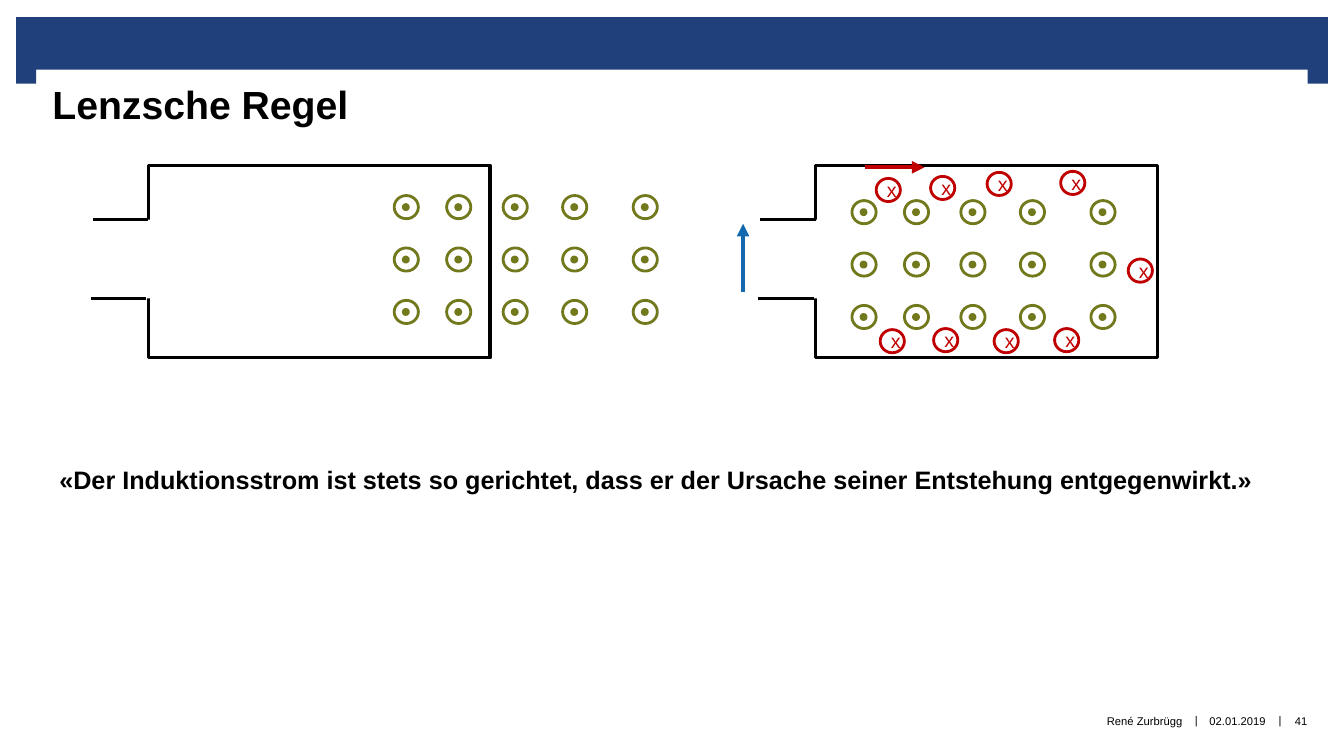
from pptx import Presentation
from pptx.dml.color import RGBColor
from pptx.enum.shapes import MSO_CONNECTOR, MSO_SHAPE
from pptx.enum.text import MSO_ANCHOR, MSO_AUTO_SIZE, PP_ALIGN
from pptx.oxml.ns import qn
from pptx.util import Inches, Pt
from lxml.etree import SubElement

BLACK, WHITE, NAVY, BLUE = "000000", "FFFFFF", "1F407A", "1269B0"
OLIVE, RED = "72791C", "C00000"
RING_WIDTH, RING_HEIGHT, DOT = 0.24, 0.23, 0.05

presentation = Presentation()
presentation.slide_width = Inches(13.33)
presentation.slide_height = Inches(7.5)
slide = presentation.slides.add_slide(presentation.slide_layouts[6])


def color(hex_string):
    return RGBColor.from_string(hex_string)


def add_shape(kind, left, top, width, height, fill=None, line=None, points=2):
    shape = slide.shapes.add_shape(kind, Inches(left), Inches(top), Inches(width), Inches(height))
    shape.shadow.inherit = False
    if fill:
        shape.fill.solid()
        shape.fill.fore_color.rgb = color(fill)
    else:
        shape.fill.background()
    if line:
        shape.line.color.rgb = color(line)
        shape.line.width = Pt(points)
    else:
        shape.line.fill.background()
    return shape


# Header band with its two corner tabs
for left, top, width, height in [(0.16, 0.17, 13.01, 0.52), (0.16, 0.65, 0.2, 0.18), (12.97, 0.65, 0.2, 0.18)]:
    add_shape(MSO_SHAPE.RECTANGLE, left, top, width, height, fill=NAVY)

# Conductor loops: frame, gap on the left side, and later the two leads
lines = []
for shift in (0, 6.62):
    add_shape(MSO_SHAPE.RECTANGLE, 1.47 + shift, 1.64, 3.39, 1.91, line=BLACK, points=2.25)
    add_shape(MSO_SHAPE.RECTANGLE, 0.99 + shift, 2.18, 1.02, 0.78, fill=WHITE)
    lines.append((1.47 + shift, 2.18, 0.92 + shift, 2.18, BLACK, 2.25, False))
    lines.append((1.45 + shift, 2.96, 0.9 + shift, 2.96, BLACK, 2.25, False))

# Field lines pointing out of the plane
for shift_x, shift_y in [(0, 0), (4.54, 0.05)]:
    for column in (3.91, 4.43, 4.99, 5.58, 6.28):
        for row in range(3):
            left = column + shift_x
            top = 1.94 + 0.52 * row + shift_y
            add_shape(MSO_SHAPE.OVAL, left, top, RING_WIDTH, RING_HEIGHT, line=OLIVE)
            add_shape(MSO_SHAPE.OVAL, left + 0.09, top + 0.09, DOT, DOT, fill=OLIVE, line=OLIVE)

# Leads, and arrows for voltage and induced current
lines.append((7.37, 2.9, 7.37, 2.22, BLUE, 3, True))
lines.append((8.58, 1.66, 9.17, 1.66, RED, 3, True))
for x1, y1, x2, y2, line_color, points, arrow in lines:
    connector = slide.shapes.add_connector(
        MSO_CONNECTOR.STRAIGHT, Inches(x1), Inches(y1), Inches(x2), Inches(y2))
    connector.line.color.rgb = color(line_color)
    connector.line.width = Pt(points)
    if arrow:
        SubElement(connector.line._get_or_add_ln(), qn("a:tailEnd"), type="triangle")
    SubElement(connector._element.spPr, qn("a:effectLst"))

# Induced field pointing into the plane
crosses = [(8.69, 1.77), (9.23, 1.75), (9.79, 1.71), (10.52, 1.7), (11.19, 2.57),
           (8.73, 3.27), (9.26, 3.26), (9.86, 3.27), (10.46, 3.26)]
for left, top in crosses:
    ring = add_shape(MSO_SHAPE.OVAL, left, top, RING_WIDTH, RING_HEIGHT, line=RED)
    ring.text_frame.text = "x"
    ring.text_frame.vertical_anchor = MSO_ANCHOR.MIDDLE
    paragraph = ring.text_frame.paragraphs[0]
    paragraph.alignment = PP_ALIGN.CENTER
    font = paragraph.runs[0].font
    font.name, font.size = "Arial", Pt(14)
    font.color.rgb = color(RED)

# Title, rule and footer: text, box, size, bold, alignment, anchor, insets
LEFT, CENTER, RIGHT = PP_ALIGN.LEFT, PP_ALIGN.CENTER, PP_ALIGN.RIGHT
TOP, MIDDLE = MSO_ANCHOR.TOP, MSO_ANCHOR.MIDDLE
NO_INSETS, BAR_INSETS = (0, 0, 0, 0), (0.04, 0.05, 0.04, 0.05)
texts = [
    ("Lenzsche Regel", (0.36, 0.68, 12.62, 1.11), 28, True, LEFT, TOP, (0.16, 0.12, 0.16, 0)),
    ("«Der Induktionsstrom ist stets so gerichtet, dass er der Ursache seiner Entstehung entgegenwirkt.»",
     (0.49, 4.56, 12.44, 0.4), 18, True, LEFT, TOP, (0.1, 0.05, 0.1, 0.05)),
    ("René Zurbrügg", (6.66, 6.9, 5.07, 0.5), 8, False, RIGHT, MIDDLE, NO_INSETS),
    ("|", (11.79, 6.89, 0.15, 0.51), 8, False, CENTER, MIDDLE, BAR_INSETS),
    ("02.01.2019", (11.94, 6.9, 0.67, 0.51), 8, False, CENTER, MIDDLE, NO_INSETS),
    ("|", (12.62, 6.89, 0.15, 0.51), 8, False, CENTER, MIDDLE, BAR_INSETS),
    ("41", (12.71, 6.9, 0.39, 0.51), 8, False, CENTER, MIDDLE, NO_INSETS),
]
for text, box, size, bold, alignment, anchor, insets in texts:
    text_frame = slide.shapes.add_textbox(*map(Inches, box)).text_frame
    text_frame.word_wrap = True
    text_frame.auto_size = MSO_AUTO_SIZE.NONE
    text_frame.vertical_anchor = anchor
    (text_frame.margin_left, text_frame.margin_top,
     text_frame.margin_right, text_frame.margin_bottom) = map(Inches, insets)
    text_frame.text = text
    paragraph = text_frame.paragraphs[0]
    paragraph.alignment = alignment
    font = paragraph.runs[0].font
    font.name, font.size, font.bold = "Arial", Pt(size), bold
    font.color.rgb = color(BLACK)

presentation.save("out.pptx")
